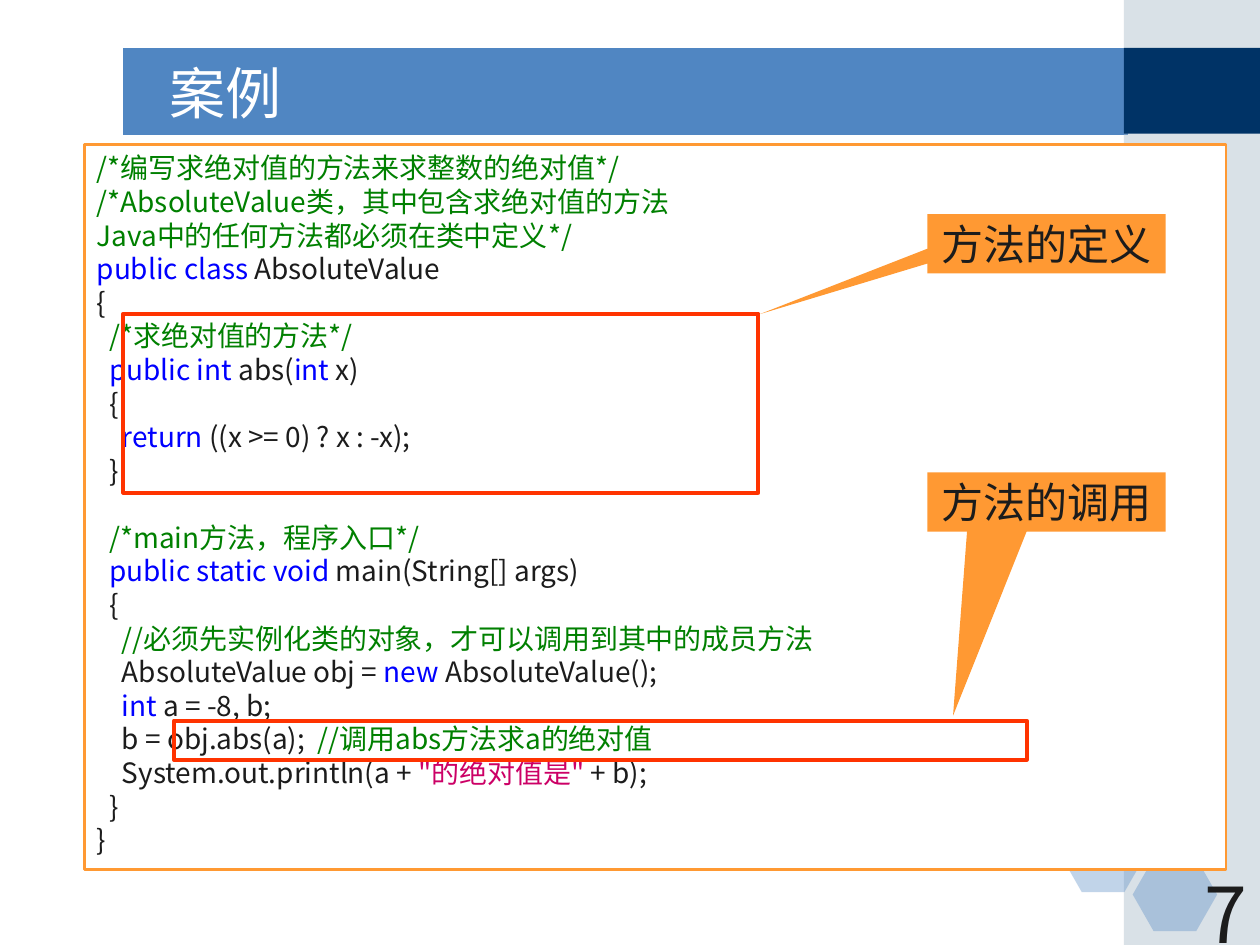
from dataclasses import dataclass

from lxml import etree
from pptx import Presentation
from pptx import util as u
from pptx.dml.color import RGBColor
from pptx.enum import shapes, text
from pptx.oxml.ns import qn


@dataclass(frozen=True)
class Theme:
    blue: str = "5086C2"
    navy: str = "003366"
    mist: str = "A0B5C4"
    white: str = "FFFFFF"
    ink: str = "1C1C1C"
    orange: str = "FF9933"
    red: str = "FF3300"
    comment: str = "008000"
    keyword: str = "0000FF"
    string: str = "CC0066"
    cjk: str = "Noto Sans CJK SC"
    title_font: str = "DejaVu Sans"
    label_font: str = "Times New Roman"
    title_size: int = 32
    number_size: int = 44
    code_size: int = 16
    label_size: int = 24
    line_pitch: float = 19.2
    indent: float = 0.1


THEME = Theme()
WIDTH, HEIGHT = u.Inches(10), u.Inches(7.5)
SHAPE = shapes.MSO_SHAPE
ALIGN = text.PP_ALIGN
ANCHOR = text.MSO_ANCHOR

# Each code line: indent level, then (colour role, text) runs
CODE = [
    (0, ("comment", "/*编写求绝对值的方法来求整数的绝对值*/")),
    (0, ("comment", "/*AbsoluteValue类，其中包含求绝对值的方法")),
    (0, ("comment", "Java中的任何方法都必须在类中定义*/")),
    (0, ("keyword", "public class"), ("ink", " AbsoluteValue")),
    (0, ("ink", "{")),
    (1, ("comment", "/*求绝对值的方法*/")),
    (1, ("keyword", "public int"), ("ink", " abs("), ("keyword", "int"), ("ink", " x)")),
    (1, ("ink", "{")),
    (2, ("keyword", "return"), ("ink", " ((x >= 0) ? x : -x);")),
    (1, ("ink", "}")),
    (1, ("comment", "/*main方法，程序入口*/")),
    (1, ("keyword", "public static void"), ("ink", " main(String[] args)")),
    (1, ("ink", "{")),
    (2, ("comment", "//必须先实例化类的对象，才可以调用到其中的成员方法")),
    (2, ("ink", "AbsoluteValue obj = "), ("keyword", "new"), ("ink", " AbsoluteValue();")),
    (2, ("keyword", "int"), ("ink", " a = -8, b;")),
    (2, ("ink", "b = obj.abs(a);  "), ("comment", "//调用abs方法求a的绝对值")),
    (2, ("ink", "System.out.println(a + "), ("string", "\"的绝对值是\""), ("ink", " + b);")),
    (1, ("ink", "}")),
    (0, ("ink", "}")),
]
MAIN_METHOD = 10  # the line that opens the second method


def area(left, top, width, height):
    """Turn percentages of the slide into lengths."""
    return [round(share * side / 100) for share, side in
            zip((left, top, width, height), (WIDTH, HEIGHT) * 2)]


def paint(shape, fill=None, line=None, line_width=1.5, alpha=None):
    shape.shadow.inherit = False
    if fill:
        shape.fill.solid()
        shape.fill.fore_color.rgb = RGBColor.from_string(fill)
    else:
        shape.fill.background()
    if alpha:
        color = shape.fill._xPr.find(qn("a:solidFill"))[0]
        etree.SubElement(color, qn("a:alpha")).set("val", str(alpha * 1000))
    if line:
        shape.line.color.rgb = RGBColor.from_string(line)
        shape.line.width = u.Pt(line_width)
    else:
        shape.line.fill.background()


def add_block(slide, kind, place, adjustments=(), **look):
    block = slide.shapes.add_shape(kind, *area(*place))
    for index, value in enumerate(adjustments):
        block.adjustments[index] = value
    paint(block, **look)
    return block


def add_run(paragraph, words, size, font, color):
    run = paragraph.add_run()
    run.text = words
    for name, value in {"size": u.Pt(size), "name": font}.items():
        setattr(run.font, name, value)
    run.font.color.rgb = RGBColor.from_string(color)
    etree.SubElement(run.font._element, qn("a:ea")).set("typeface", THEME.cjk)


def set_frame(shape, anchor=ANCHOR.TOP, wrap=True):
    frame = shape.text_frame
    for name, value in {"word_wrap": wrap, "vertical_anchor": anchor}.items():
        setattr(frame, name, value)
    return frame


def add_words(shape, words, size, font, color, align, anchor=ANCHOR.MIDDLE, wrap=True):
    paragraph = set_frame(shape, anchor, wrap).paragraphs[0]
    paragraph.alignment = align
    add_run(paragraph, words, size, font, color)


def add_backdrop(slide):
    # Title banner
    left, top, width, height = area(9.8, 5.07, 79.7, 9.2)
    builder = slide.shapes.build_freeform(left, top)
    builder.add_line_segments([(left + width, top), (left + width, top + height),
                               (left, top + height)], close=True)
    paint(builder.convert_to_shape(), fill=THEME.blue)
    # Right-hand column with its dark corner
    add_block(slide, SHAPE.RECTANGLE, (89.2, 0, 10.8, 100), fill=THEME.mist, alpha=40)
    add_block(slide, SHAPE.RECTANGLE, (89.2, 5.07, 10.8, 9.07), fill=THEME.navy)
    # Hexagons
    for left, top in ((84.2, 86.67), (89.9, 90.8)):
        add_block(slide, SHAPE.HEXAGON, (left, top, 6.7, 7.73), (0.286, 1.155),
                  fill=THEME.blue, alpha=35)


def add_code(slide):
    panel = add_block(slide, SHAPE.RECTANGLE, (6.7, 15.33, 90.6, 76.67),
                      fill=THEME.white, line=THEME.orange)
    frame = set_frame(panel)
    for number, (level, *runs) in enumerate(CODE):
        paragraph = frame.add_paragraph() if number else frame.paragraphs[0]
        layout = {"alignment": ALIGN.LEFT, "line_spacing": u.Pt(THEME.line_pitch)}
        if number == MAIN_METHOD:
            layout["space_before"] = u.Pt(THEME.line_pitch)
        for name, value in layout.items():
            setattr(paragraph, name, value)
        paragraph._p.get_or_add_pPr().set("marL", str(u.Inches(level * THEME.indent)))
        for role, words in runs:
            add_run(paragraph, words, THEME.code_size, THEME.cjk, getattr(THEME, role))


def add_callout(slide, words, top, pointer, frame_place):
    """Frame a piece of the code and point a label at it."""
    add_block(slide, SHAPE.RECTANGLE, frame_place, line=THEME.red, line_width=2.25)
    label = add_block(slide, SHAPE.RECTANGULAR_CALLOUT, (73.6, top, 18.9, 6.27),
                      pointer, fill=THEME.orange)
    add_words(label, words, THEME.label_size, THEME.label_font, THEME.ink,
              ALIGN.CENTER, wrap=False)


def main():
    deck = Presentation()
    deck.slide_width, deck.slide_height = WIDTH, HEIGHT
    slide = deck.slides.add_slide(deck.slide_layouts[6])
    add_backdrop(slide)

    # Title and page number
    title = slide.shapes.add_textbox(*area(12.5, 5.6, 73.3, 8.27))
    add_words(title, "案例", THEME.title_size, THEME.title_font, THEME.white, ALIGN.LEFT)
    page = slide.shapes.add_textbox(*area(79.2, 91.07, 20.8, 6.67))
    add_words(page, "7", THEME.number_size, THEME.cjk, THEME.ink, ALIGN.RIGHT, ANCHOR.TOP)

    # Code with its two callouts
    add_code(slide)
    add_callout(slide, "方法的定义", 22.67, (-1.204, 1.188), (9.8, 33.2, 50.4, 18.93))
    add_callout(slide, "方法的调用", 50, (-0.392, 3.607), (13.8, 76.27, 67.7, 4.13))
    deck.save("out.pptx")


if __name__ == "__main__":
    main()
